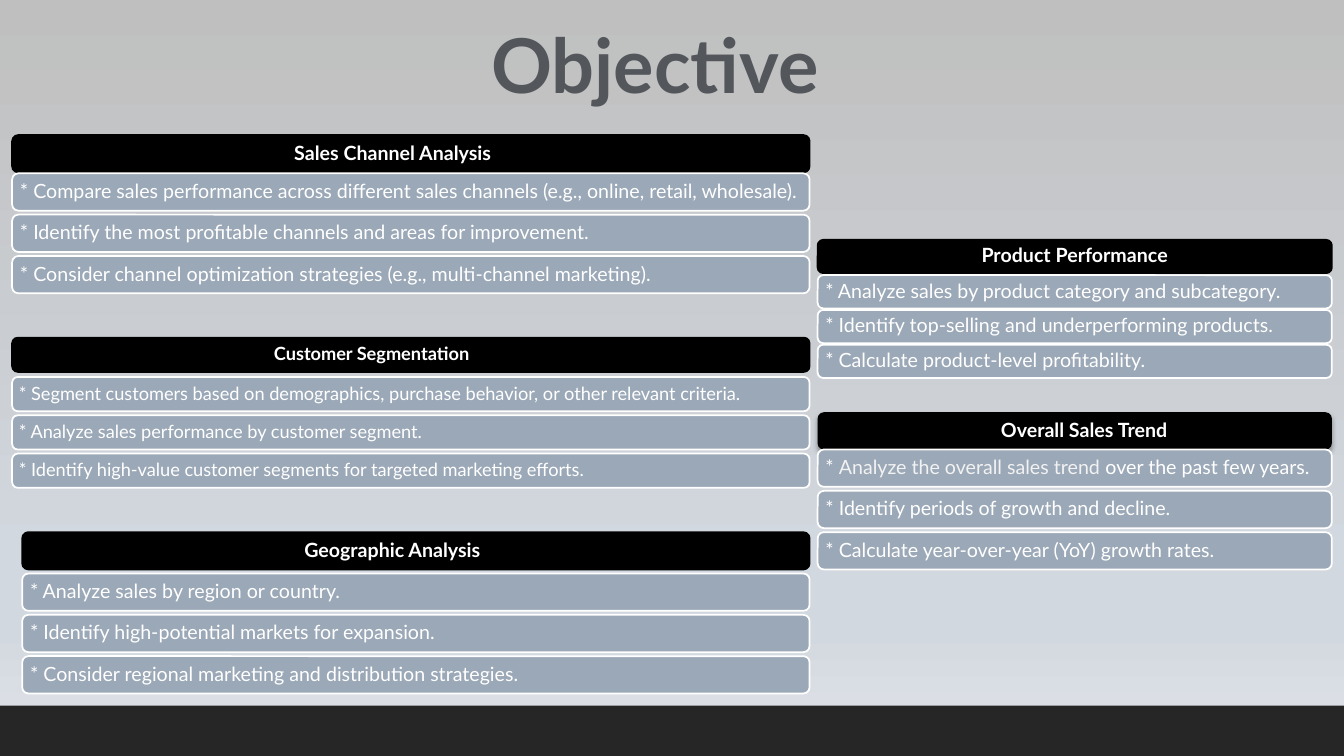
from lxml import etree
from pptx import Presentation
from pptx.dml.color import RGBColor
from pptx.enum.shapes import MSO_SHAPE
from pptx.enum.text import MSO_ANCHOR, PP_ALIGN
from pptx.oxml.ns import qn
from pptx.util import Inches, Pt

ROUND, RECT = MSO_SHAPE.ROUNDED_RECTANGLE, MSO_SHAPE.RECTANGLE
MIDDLE = MSO_ANCHOR.MIDDLE
LEFT, CENTER = PP_ALIGN.LEFT, PP_ALIGN.CENTER

WHITE = RGBColor(0xFF, 0xFF, 0xFF)
OFF_WHITE = RGBColor(0xF2, 0xF2, 0xF2)
BLACK = RGBColor(0x00, 0x00, 0x00)
STEEL = RGBColor(0x9B, 0xA8, 0xB7)
SLATE = RGBColor(0x53, 0x57, 0x5C)
CHARCOAL = RGBColor(0x26, 0x26, 0x26)
BACKDROP = [(0, RGBColor(0xBF, 0xBF, 0xBF)), (74, RGBColor(0xD2, 0xD8, 0xDF)),
            (83, RGBColor(0xD2, 0xD8, 0xDF)), (100, RGBColor(0xE1, 0xE5, 0xE9))]

FONT = "Lato"
SLIDE_W, SLIDE_H = 13.33, 7.5
BAR_H = SLIDE_H / 15
LEFT_COL, LEFT_COL_R = 0.12, 8.03
RIGHT_COL, RIGHT_COL_R = 8.11, 13.21

SECTIONS = [
    dict(box=(RIGHT_COL, 4.09, RIGHT_COL_R, 0.37), first=0.37, pitch=0.41,
         heading="Overall Sales Trend", indent=1.74, shadow=True,
         items=[[("* ", WHITE), ("Analyze the overall sales trend ", OFF_WHITE),
                 ("over the past few years.", WHITE)],
                "* Identify periods of growth and decline.",
                "* Calculate year-over-year (YoY) growth rates."]),
    dict(box=(RIGHT_COL, 2.38, RIGHT_COL_R, 0.33), first=0.35, pitch=0.345,
         heading="Product Performance",
         items=["* Analyze sales by product category and subcategory.",
                "* Identify top-selling and underperforming products.",
                "* Calculate product-level profitability."]),
    dict(box=(LEFT_COL, 3.35, LEFT_COL_R, 0.34), first=0.39, pitch=0.38,
         heading="Customer Segmentation", indent=2.53, size=13, inset=0.05,
         items=["* Segment customers based on demographics, purchase behavior, "
                "or other relevant criteria.",
                "* Analyze sales performance by customer segment.",
                "* Identify high-value customer segments for targeted marketing efforts."]),
    dict(box=(LEFT_COL, 1.34, LEFT_COL_R, 0.37), first=0.38, pitch=0.41,
         heading="Sales Channel Analysis", indent=2.72,
         items=["* Compare sales performance across different sales channels "
                "(e.g., online, retail, wholesale).",
                "* Identify the most profitable channels and areas for improvement.",
                "* Consider channel optimization strategies (e.g., multi-channel marketing)."]),
    dict(box=(LEFT_COL + 0.1, 5.28, LEFT_COL_R, 0.37), first=0.41, pitch=0.41,
         heading="Geographic Analysis", indent=2.72,
         items=["* Analyze sales by region or country.",
                "* Identify high-potential markets for expansion.",
                "* Consider regional marketing and distribution strategies."]),
]


def set_text(tf, text, size=14, color=WHITE, bold=False, align=LEFT, indent=0, spacing=0.9):
    """Write a string, or a list of (string, colour) runs, as one paragraph."""
    p = tf.paragraphs[0]
    p.alignment, p.line_spacing = align, spacing
    if indent:
        p._p.get_or_add_pPr().set("marL", str(Inches(indent)))
    for part, shade in [(text, color)] if isinstance(text, str) else text:
        r = p.add_run()
        r.text = part
        r.font.name, r.font.size, r.font.bold = FONT, Pt(size), bold
        r.font.color.rgb = shade


def add_box(slide, kind, x, y, w, h, fill, line=None):
    """Add a filled preset shape without a shadow."""
    sp = slide.shapes.add_shape(kind, Inches(x), Inches(y), Inches(w), Inches(h))
    sp.shadow.inherit = False
    sp.fill.solid()
    sp.fill.fore_color.rgb = fill
    if line is None:
        sp.line.fill.background()
    else:
        sp.line.color.rgb = line
        sp.line.width = Pt(1.25)
    return sp


def add_shadow(sp):
    """Give a shape a soft shadow falling straight down."""
    effects = sp._element.spPr.find(qn("a:effectLst"))
    shadow = etree.SubElement(effects, qn("a:outerShdw"), blurRad=str(Pt(3.5)),
                              dist=str(Pt(2.2)), dir="5400000", rotWithShape="0")
    color = etree.SubElement(shadow, qn("a:srgbClr"), val=str(BLACK))
    etree.SubElement(color, qn("a:alpha"), val="32000")


def add_section(slide, box, first, pitch, heading, items, indent=0, size=14,
                inset=0.06, shadow=False):
    """Stack a black heading bar and its item bars from the top of the box."""
    x, y, right, h = box
    tops = [y] + [y + first + i * pitch for i in range(len(items))]
    for i, (top, text) in enumerate(zip(tops, [heading] + items)):
        head = i == 0
        line = WHITE if not head else None if shadow else BLACK
        sp = add_box(slide, ROUND, x, top, right - x, h, BLACK if head else STEEL, line)
        tf = sp.text_frame
        tf.word_wrap, tf.vertical_anchor = True, MIDDLE
        tf.margin_left = tf.margin_right = Inches(inset)
        tf.margin_top = tf.margin_bottom = Inches(inset)
        set_text(tf, text, size=size, bold=head, indent=indent if head else 0,
                 align=CENTER if head and not indent else LEFT)
        if head and shadow:
            add_shadow(sp)


def add_backdrop(slide):
    """Fill the background with a vertical gradient and add the bottom bar."""
    fill = slide.background.fill
    fill.gradient()
    fill.gradient_angle = 270
    stops = next(slide._element.iter(qn("a:gsLst")))
    for stop in list(stops):
        stops.remove(stop)
    for pos, color in BACKDROP:
        stop = etree.SubElement(stops, qn("a:gs"), pos=str(pos * 1000))
        etree.SubElement(stop, qn("a:srgbClr"), val=str(color))
    add_box(slide, RECT, 0, SLIDE_H - BAR_H, SLIDE_W, BAR_H, CHARCOAL)


def add_title(slide, text, x, y, w, h):
    """Place and format the title placeholder."""
    sp = slide.shapes.title
    sp.left, sp.top, sp.width, sp.height = map(Inches, (x, y, w, h))
    tf = sp.text_frame
    tf.word_wrap, tf.vertical_anchor = False, MIDDLE
    set_text(tf, text, size=54, color=SLATE, bold=True, align=CENTER, spacing=1.0)


def main():
    """Build the objectives slide."""
    prs = Presentation()
    prs.slide_width, prs.slide_height = Inches(SLIDE_W), Inches(SLIDE_H)
    slide = prs.slides.add_slide(prs.slide_layouts[5])
    add_backdrop(slide)
    add_title(slide, "Objective", 4.75, 0.12, 3.49, 1.01)
    for section in SECTIONS:
        add_section(slide, **section)
    prs.save("out.pptx")


if __name__ == "__main__":
    main()
